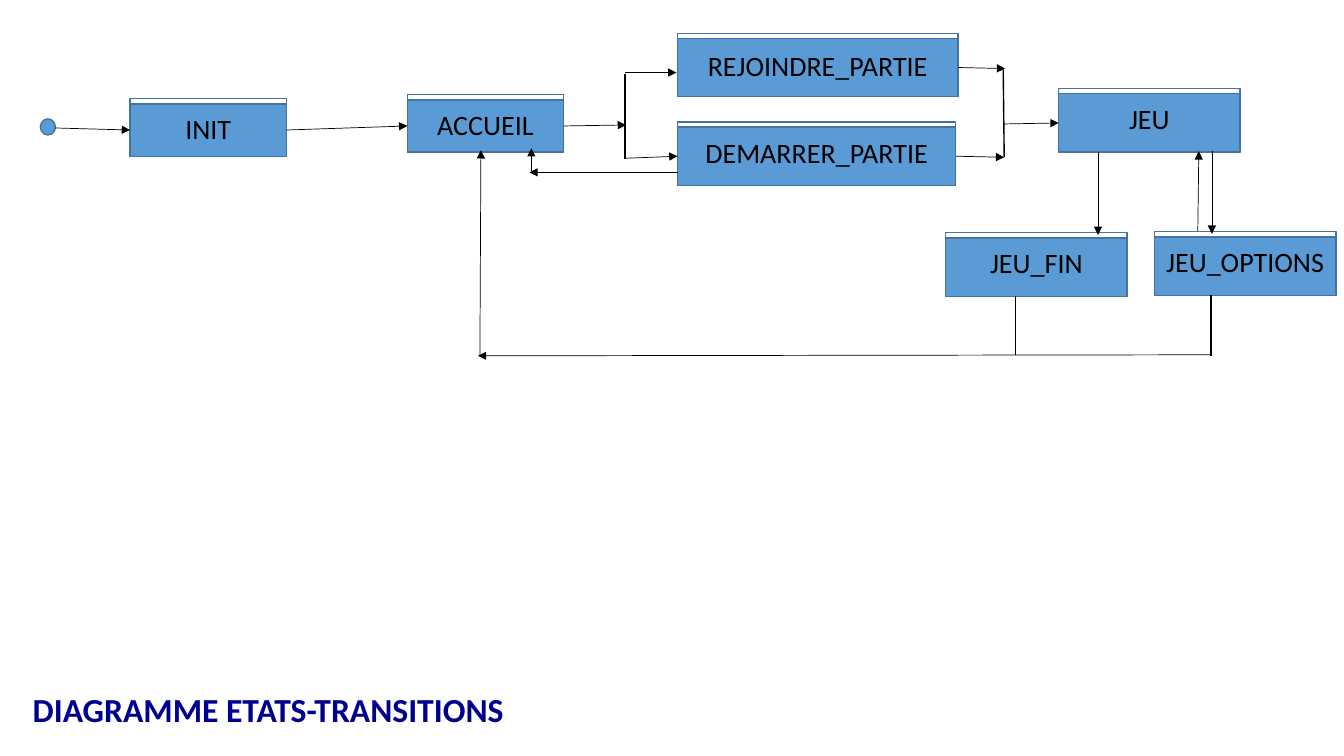
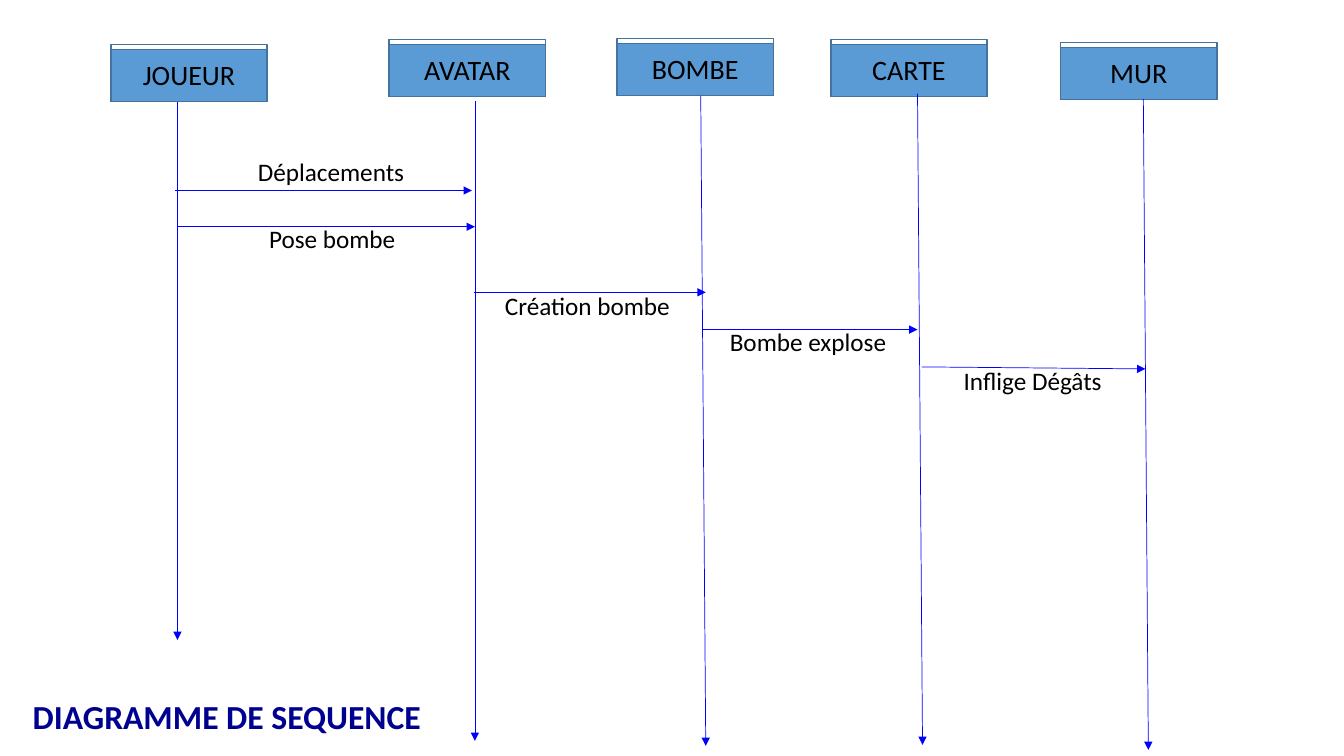
from collections import namedtuple

from lxml import etree
from pptx import Presentation
from pptx.dml.color import RGBColor
from pptx.enum.shapes import MSO_CONNECTOR, MSO_SHAPE
from pptx.enum.text import MSO_ANCHOR, PP_ALIGN
from pptx.oxml.ns import qn
from pptx.util import Inches, Pt

RECT, OVAL = MSO_SHAPE.RECTANGLE, MSO_SHAPE.OVAL
STRAIGHT = MSO_CONNECTOR.STRAIGHT
LEFT_ALIGN, CENTER = PP_ALIGN.LEFT, PP_ALIGN.CENTER
TOP = MSO_ANCHOR.TOP
LEFT, RIGHT = 1, 3  # connection sites of a rectangle

FONT = "Calibri"
BLACK, BLUE, NAVY = "000000", "0000FF", "000090"
BOX_FILL, BOX_LINE = "5B9BD5", "43739E"
STRIP = 0.05  # white band along the top of each box
SMALL_BOX = (1.55, 0.57)
GAME_BOX = (1.8, 0.63)

Port = namedtuple("Port", "shape side")


def rgb(hex_color):
    return RGBColor.from_string(hex_color)


def set_text(frame, text, size, color=BLACK, bold=False, align=CENTER):
    frame.text = text
    paragraph = frame.paragraphs[0]
    paragraph.alignment = align
    font = paragraph.runs[0].font
    font.name, font.size, font.bold = FONT, Pt(size), bold
    font.color.rgb = rgb(color)


def add_text(slide, text, x, y, width, height, size, **style):
    frame = slide.shapes.add_textbox(
        Inches(x), Inches(y), Inches(width), Inches(height)).text_frame
    frame.word_wrap = False
    set_text(frame, text, size, **style)


def add_title(slide, text, x, y, width):
    add_text(slide, text, x, y, width, 0.5, 24, color=NAVY, bold=True)


def add_outlined(slide, kind, x, y, width, height, fill=None):
    shape = slide.shapes.add_shape(
        kind, Inches(x), Inches(y), Inches(width), Inches(height))
    shape.shadow.inherit = False
    if fill:
        shape.fill.solid()
        shape.fill.fore_color.rgb = rgb(fill)
    else:
        shape.fill.background()
    shape.line.color.rgb = rgb(BOX_LINE)
    shape.line.width = Pt(1)
    return shape


def add_box(slide, text, x, y, size=SMALL_BOX, label_drop=0.03):
    """Draw a framed box and return its blue body."""
    width, height = size
    add_outlined(slide, RECT, x, y, width, height)
    body = add_outlined(slide, RECT, x, y + STRIP, width, height - STRIP, BOX_FILL)
    frame = body.text_frame
    frame.word_wrap = False
    frame.vertical_anchor = TOP
    frame.margin_top = Inches(0.05 + label_drop)
    frame.margin_bottom = 0
    set_text(frame, text, 20)
    return body


def add_line(slide, start, end, color=BLACK, width=0.5, arrow=True):
    """Link two ends, each a point or a Port on a box."""
    (x1, y1), (x2, y2) = [
        (0, 0) if isinstance(place, Port) else place for place in (start, end)]
    line = slide.shapes.add_connector(
        STRAIGHT, Inches(x1), Inches(y1), Inches(x2), Inches(y2))
    if isinstance(start, Port):
        line.begin_connect(*start)
    if isinstance(end, Port):
        line.end_connect(*end)
    line.line.color.rgb = rgb(color)
    line.line.width = Pt(width)
    properties = line._element.spPr
    if arrow:
        etree.SubElement(properties.find(qn("a:ln")), qn("a:tailEnd"), type="triangle")
    etree.SubElement(properties, qn("a:effectLst"))


def build_states(slide):
    # States
    add_outlined(slide, OVAL, 0.4, 1.18, 0.15, 0.16, BOX_FILL)
    init = add_box(slide, "INIT", 1.29, 0.98)
    home = add_box(slide, "ACCUEIL", 4.04, 0.94)
    join = add_box(slide, "REJOINDRE_PARTIE", 6.72, 0.33, (2.78, 0.63), 0.05)
    start = add_box(slide, "DEMARRER_PARTIE", 6.72, 1.21, (2.76, 0.63))
    game = add_box(slide, "JEU", 10.5, 0.88, GAME_BOX)
    add_box(slide, "JEU_FIN", 9.38, 2.31, GAME_BOX)
    add_box(slide, "JEU_OPTIONS", 11.45, 2.3, GAME_BOX)

    # Transitions
    transitions = [
        ((0.55, 1.27), Port(init, LEFT)),
        (Port(init, RIGHT), Port(home, LEFT)),
        (Port(home, RIGHT), (6.21, 1.24)),
        ((6.2, 0.72), (6.71, 0.72)),
        ((6.21, 1.57), Port(start, LEFT)),
        (Port(join, RIGHT), (9.97, 0.68)),
        (Port(start, RIGHT), (9.96, 1.56)),
        ((9.95, 1.23), Port(game, LEFT)),
        ((6.72, 1.71), (5.25, 1.71)),
        ((5.27, 1.7), (5.27, 1.47)),
        ((10.89, 1.51), (10.89, 2.33)),
        ((12.02, 1.5), (12.02, 2.32)),
        ((11.88, 2.29), (11.89, 1.5)),
        ((12, 3.52), (4.74, 3.53)),
        ((4.76, 3.52), (4.77, 1.49)),
    ]
    for source, target in transitions:
        add_line(slide, source, target)

    # Branches that gather or split transitions
    branches = [
        ((6.2, 0.73), (6.2, 1.58)),
        ((9.95, 0.69), (9.96, 1.56)),
        ((10.07, 2.94), (10.07, 3.52)),
        ((12.01, 2.93), (12.01, 3.53)),
    ]
    for source, target in branches:
        add_line(slide, source, target, width=1, arrow=False)

    add_title(slide, "DIAGRAMME ETATS-TRANSITIONS", 0.16, 6.79, 5)


def build_sequence(slide):
    add_title(slide, "DIAGRAMME DE SEQUENCE", 0.2, 6.85, 4.1)

    # Participants: name, box corner, lifeline ends
    participants = [
        ("JOUEUR", (1.1, 0.44), (1.76, 1.01), (1.76, 6.35)),
        ("AVATAR", (3.86, 0.39), (4.71, 1), (4.71, 7.35)),
        ("BOMBE", (6.12, 0.38), (6.95, 0.95), (7, 7.4)),
        ("CARTE", (8.24, 0.39), (9.1, 0.93), (9.15, 7.39)),
        ("MUR", (10.52, 0.42), (11.34, 0.98), (11.39, 7.44)),
    ]
    for name, corner, top, bottom in participants:
        add_box(slide, name, *corner)
        add_line(slide, top, bottom, BLUE)

    # Messages: wording, arrow ends, label left, top and width
    messages = [
        ("Déplacements", (1.74, 1.89), (4.68, 1.89), (2.46, 1.5, 1.67)),
        ("Pose bombe", (1.76, 2.25), (4.71, 2.25), (2.57, 2.17, 1.47)),
        ("Création bombe", (4.7, 2.9), (7, 2.9), (4.91, 2.83, 1.86)),
        ("Bombe explose", (6.97, 3.27), (9.1, 3.27), (7.14, 3.19, 1.77)),
        ("Inflige Dégâts", (9.14, 3.64), (11.36, 3.66), (9.46, 3.58, 1.6)),
    ]
    for wording, sender, receiver, label in messages:
        add_line(slide, sender, receiver, BLUE)
        add_text(slide, wording, *label, 0.4, 18, align=LEFT_ALIGN)


def main():
    deck = Presentation()
    deck.slide_width, deck.slide_height = Inches(13.33), Inches(7.5)
    blank = deck.slide_layouts[6]
    for build in (build_states, build_sequence):
        build(deck.slides.add_slide(blank))
    deck.save("out.pptx")


if __name__ == "__main__":
    main()
